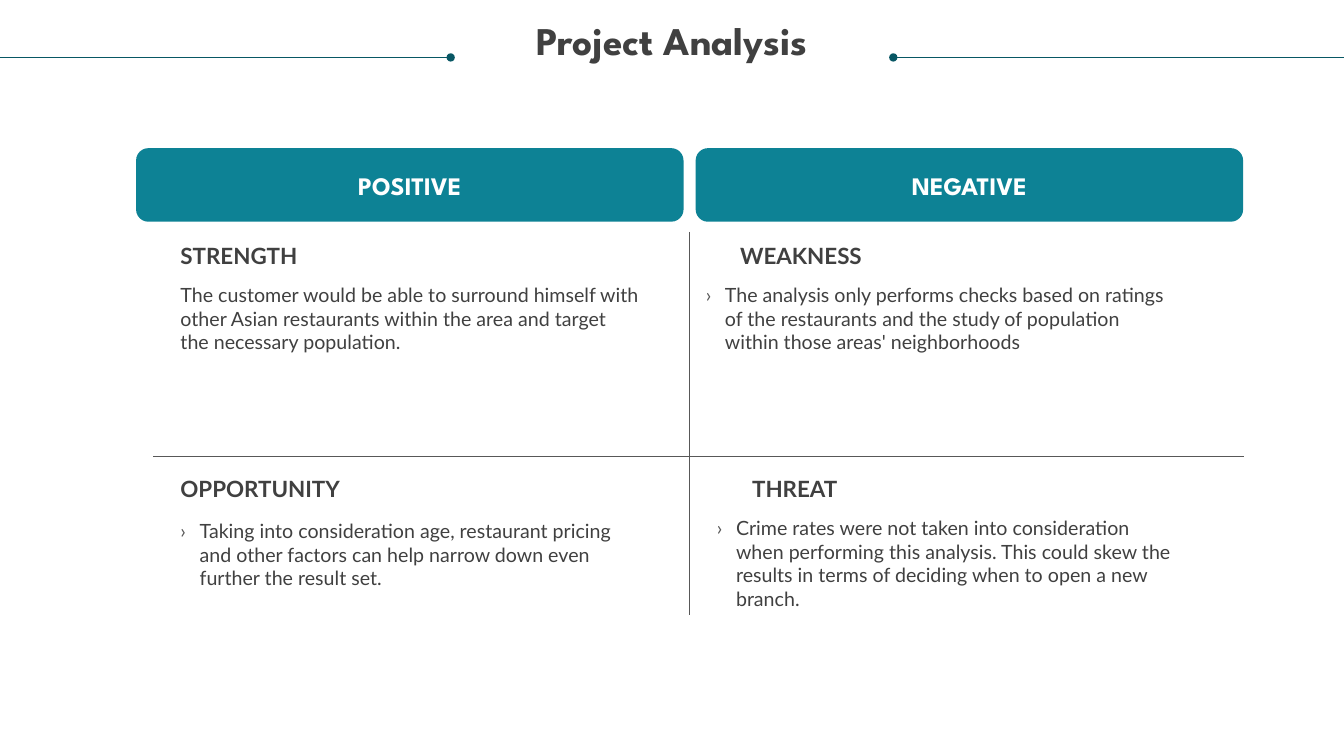
from dataclasses import dataclass

from pptx import Presentation
from pptx.dml.color import RGBColor
from pptx.enum.shapes import MSO_CONNECTOR, MSO_SHAPE
from pptx.enum.text import MSO_ANCHOR, MSO_AUTO_SIZE, PP_ALIGN
from pptx.oxml.ns import qn
from pptx.util import Pt
from lxml import etree

LINE = MSO_CONNECTOR.STRAIGHT
ROUND = MSO_SHAPE.ROUNDED_RECTANGLE
TOP, MIDDLE = MSO_ANCHOR.TOP, MSO_ANCHOR.MIDDLE
LEFT, CENTER = PP_ALIGN.LEFT, PP_ALIGN.CENTER
FIXED = MSO_AUTO_SIZE.NONE
SCALE = 9144
COMPARE = 4


@dataclass(frozen=True)
class Theme:
    """Colours, fonts and type sizes of the slide."""
    ink: str = "404040"
    rule: str = "585858"
    trim: str = "085764"
    band: str = "0D8295"
    light: str = "FFFFFF"
    head: str = "League Spartan"
    text: str = "Lato"
    title: int = 28
    label: int = 18
    topic: int = 16
    body: int = 14


def px(*sizes):
    """Turn px lengths into EMU."""
    return [size * SCALE for size in sizes]


class Board:
    """Draws styled elements on one slide."""

    def __init__(self, deck, theme):
        """Add the slide and keep its style."""
        self.theme = theme
        self.slide = deck.slides.add_slide(deck.slide_layouts[COMPARE])
        self.shapes = self.slide.shapes

    def place(self, shape, box):
        """Move a shape to a px box."""
        shape.left, shape.top, shape.width, shape.height = px(*box)

    def label(self, shape, text, font, size, color, bold=False,
              align=LEFT, anchor=TOP):
        """Fill a shape with one styled paragraph."""
        frame = shape.text_frame
        frame.text = text
        frame.word_wrap = True
        frame.auto_size = FIXED
        frame.vertical_anchor = anchor
        frame.margin_left = frame.margin_right = 0
        frame.margin_top = frame.margin_bottom = 0
        para = frame.paragraphs[0]
        para.alignment = align
        para.space_before = Pt(0)
        style = para.runs[0].font
        style.name, style.size, style.bold = font, Pt(size), bold
        style.color.rgb = RGBColor.from_string(color)
        return para

    def title(self, text, box):
        """Set the slide title."""
        look = self.theme
        shape = self.shapes.title
        self.place(shape, box)
        para = self.label(shape, text, look.head, look.title, look.ink,
                          True, CENTER)
        para.line_spacing = 0.9

    def band(self, text, box):
        """Add a rounded column header."""
        look = self.theme
        shape = self.shapes.add_shape(ROUND, *px(*box))
        shape.shadow.inherit = False
        shape.fill.solid()
        shape.fill.fore_color.rgb = RGBColor.from_string(look.band)
        shape.line.fill.background()
        self.label(shape, text, look.head, look.label, look.light, True,
                   CENTER, MIDDLE)

    def topic(self, text, box):
        """Add a quadrant heading."""
        look = self.theme
        shape = self.shapes.add_textbox(*px(*box))
        self.label(shape, text, look.text, look.topic, look.ink, True)

    def body(self, slot, text, box, mark):
        """Fill a body placeholder, with a bullet if marked."""
        look = self.theme
        shape = self.slide.placeholders[slot]
        self.place(shape, box)
        para = self.label(shape, text, look.text, look.body, look.ink)
        para.space_before = Pt(12)
        props = para._p.get_or_add_pPr()
        dent = 19 * SCALE if mark else 0
        props.set("marL", str(dent))
        props.set("indent", str(-dent))
        if mark:
            tint = etree.SubElement(props, qn("a:buClr"))
            etree.SubElement(tint, qn("a:srgbClr"), val=look.rule)
            etree.SubElement(props, qn("a:buFont"), typeface=look.text)
            etree.SubElement(props, qn("a:buChar"), char="›")
        else:
            etree.SubElement(props, qn("a:buNone"))

    def line(self, ends, color, dot=False):
        """Add a thin line, with a dot at its end if asked."""
        shape = self.shapes.add_connector(LINE, *px(*ends))
        shape.line.width = Pt(0.5)
        shape.line.color.rgb = RGBColor.from_string(color)
        props = shape._element.spPr
        if dot:
            etree.SubElement(props.find(qn("a:ln")), qn("a:tailEnd"),
                             type="oval")
        etree.SubElement(props, qn("a:effectLst"))


PARTS = [
    ("STRENGTH", 179, 240, 179, 281, False,
     "The customer would be able to surround himself with other Asian "
     "restaurants within the area and target the necessary population."),
    ("WEAKNESS", 734, 240, 700, 281, True,
     "The analysis only performs checks based on ratings of the restaurants "
     "and the study of population within those areas' neighborhoods"),
    ("OPPORTUNITY", 179, 471, 179, 515, True,
     "Taking into consideration age, restaurant pricing and other factors "
     "can help narrow down even further the result set."),
    ("THREAT", 746, 471, 711, 512, True,
     "Crime rates were not taken into consideration when performing this "
     "analysis. This could skew the results in terms of deciding when to "
     "open a new branch."),
]


def main():
    """Build and save the slide."""
    deck = Presentation()
    deck.slide_width, deck.slide_height = px(1333, 750)
    theme = Theme()
    board = Board(deck, theme)
    board.title("Project Analysis", (25, 21, 1283, 73))
    for start, end in ((0, 447), (1333, 886)):
        board.line((start, 57, end, 57), theme.trim, True)
    for col, name in enumerate(("POSITIVE", "NEGATIVE")):
        board.band(name, (135 + col * 555, 147, 543, 73))
    board.line((152, 453, 1234, 453), theme.rule)
    board.line((684, 230, 684, 610), theme.rule)
    for slot, part in enumerate(PARTS, 1):
        name, left, top, edge, start, mark, text = part
        board.topic(name, (left, top, 455, 27))
        board.body(slot, text, (edge, start, 455, 71), mark)
    deck.save("out.pptx")


if __name__ == "__main__":
    main()
